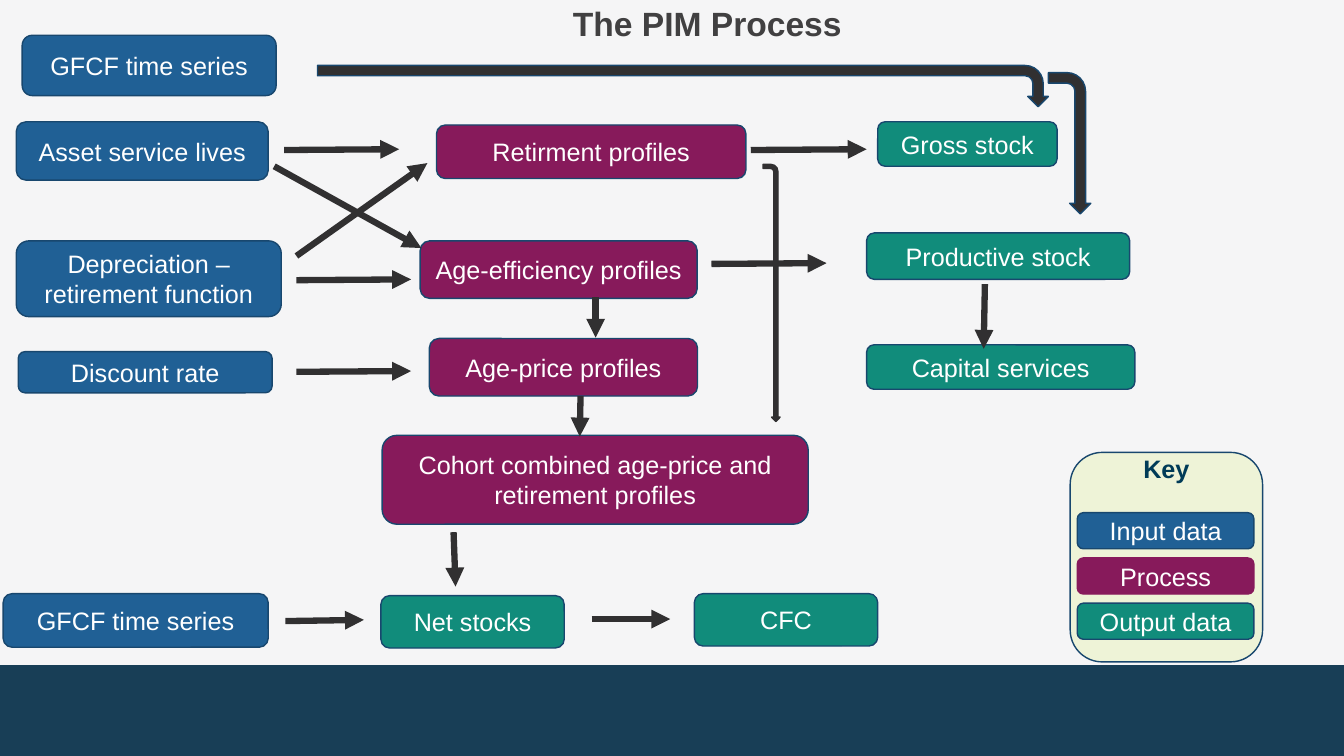
from pptx import Presentation
from pptx.dml.color import RGBColor
from pptx.enum import shapes, text
from pptx.oxml.ns import qn
from pptx.util import Cm, Pt
from lxml import etree

W, H = 33.87, 19.05
BLUE, PLUM, TEAL = "206095", "871A5B", "118C7B"
EDGE, DARK, WHITE = "18476E", "313031", "FFFFFF"
SHAPE = shapes.MSO_SHAPE


def rgb(value):
    return RGBColor.from_string(value)


def add_shape(s, kind, box, fill, edge=None):
    sp = s.shapes.add_shape(kind, *(Cm(v) for v in box))
    sp.shadow.inherit = False
    sp.fill.solid()
    sp.fill.fore_color.rgb = rgb(fill)
    if edge:
        sp.line.color.rgb = rgb(edge)
        sp.line.width = Pt(1)
    else:
        sp.line.fill.background()
    return sp


def write(sp, words, colour, size=18, bold=False):
    tf = sp.text_frame
    tf.word_wrap = True
    tf.vertical_anchor = text.MSO_ANCHOR.MIDDLE
    p = tf.paragraphs[0]
    p.text = words
    p.alignment = text.PP_ALIGN.CENTER
    p.font.name = "Arial"
    p.font.size = Pt(size)
    p.font.bold = bold
    p.font.color.rgb = rgb(colour)
    return tf


def add_node(s, box, words, fill, edge=EDGE):
    write(add_shape(s, SHAPE.ROUNDED_RECTANGLE, box, fill, edge), words, WHITE)


def add_arrow(s, x1, y1, x2, y2):
    cn = s.shapes.add_connector(shapes.MSO_CONNECTOR.STRAIGHT,
                                Cm(x1), Cm(y1), Cm(x2), Cm(y2))
    cn.line.color.rgb = rgb(DARK)
    cn.line.width = Pt(4.5)
    etree.SubElement(cn.line._get_or_add_ln(), qn("a:tailEnd"), type="triangle")
    etree.SubElement(cn._element.spPr, qn("a:effectLst"))


def add_bent_arrow(s, box, edge):
    # A quarter turn swaps width and height about the centre
    x, y, w, h = box
    turned = (x + (w - h) / 2, y + (h - w) / 2, h, w)
    add_shape(s, SHAPE.BENT_ARROW, turned, DARK, edge).rotation = 90


def build_title(s, box):
    sp = s.shapes.title
    sp.left, sp.top, sp.width, sp.height = (Cm(v) for v in box)
    write(sp, "The PIM Process", "414041", 24, True)


def build_stage(s, box, fill, nodes):
    left, top = box[:2]
    for x, y, w, h, words in nodes:
        add_node(s, (left + x, top + y, w, h), words, fill)


def build_arrows(s, box):
    left, top = box[:2]
    straight = [
        # Across
        (7.16, 3.78, 10.06, 3.76), (7.47, 7.06, 10.36, 7.04),
        (7.47, 9.37, 10.36, 9.35), (7.19, 15.65, 9.17, 15.62),
        (14.91, 15.6, 16.89, 15.6), (17.93, 6.65, 20.83, 6.63),
        (18.92, 3.78, 21.84, 3.76),
        # Down
        (24.82, 7.16, 24.79, 8.79), (15.01, 7.49, 15.01, 8.51),
        (14.63, 9.98, 14.61, 11), (11.43, 13.41, 11.48, 14.78),
        # Crossing
        (7.47, 6.45, 10.77, 4.11), (6.91, 4.19, 10.62, 6.25),
    ]
    for x1, y1, x2, y2 in straight:
        add_arrow(s, left + x1, top + y1, left + x2, top + y2)
    bent = [(8, 1.65, 18.42, 1.04, EDGE), (26.42, 1.83, 1.07, 3.56, EDGE),
            (19.23, 4.14, 0.43, 6.48, DARK)]
    for x, y, w, h, edge in bent:
        add_bent_arrow(s, (left + x, top + y, w, h), edge)


def build_key(s, box):
    left, top, w, h = box
    sp = add_shape(s, SHAPE.ROUNDED_RECTANGLE, box, "EEF3D7", EDGE)
    tf = write(sp, "Key", "003B57", bold=True)
    tf.vertical_anchor = text.MSO_ANCHOR.TOP
    tf.margin_top = Cm(-0.2)
    entries = [("Input data", BLUE, EDGE), ("Process", PLUM, PLUM),
               ("Output data", TEAL, EDGE)]
    for i, (words, fill, edge) in enumerate(entries):
        add_node(s, (left + 0.18, top + 1.52 + 1.14 * i, w - 0.4, 0.91),
                 words, fill, edge)


def main():
    prs = Presentation()
    prs.slide_width, prs.slide_height = Cm(W), Cm(H)
    s = prs.slides.add_slide(prs.slide_layouts[5])
    s.background.fill.solid()
    s.background.fill.fore_color.rgb = rgb("F5F5F6")

    # Footer band and title
    add_shape(s, SHAPE.RECTANGLE, (0, 16.76, W, H - 16.76), "183E56")
    build_title(s, (9.8, 0, 16.05, 1.17))

    # Inputs, processes and outputs
    build_stage(s, (0, 0.89, 7.1, 15.42), BLUE, [
        (0.56, 0, 6.4, 1.52, "GFCF time series"),
        (0.41, 2.18, 6.35, 1.47, "Asset service lives"),
        (0.41, 5.18, 6.68, 1.91, "Depreciation – retirement function"),
        (0.46, 7.97, 6.4, 1.04, "Discount rate"),
        (0.08, 14.07, 6.68, 1.35, "GFCF time series")])
    build_stage(s, (9.63, 3.15, 10.74, 10.06), PLUM, [
        (1.37, 0, 7.8, 1.35, "Retirment profiles"),
        (0.96, 2.92, 6.98, 1.45, "Age-efficiency profiles"),
        (1.19, 5.38, 6.76, 1.45, "Age-price profiles"),
        (0, 7.82, 10.74, 2.24,
         "Cohort combined age-price and retirement profiles")])
    build_stage(s, (9.6, 3.07, 19, 13.26), TEAL, [
        (0, 11.94, 4.62, 1.32, "Net stocks"),
        (7.9, 11.89, 4.62, 1.32, "CFC"),
        (12.24, 5.62, 6.76, 1.12, "Capital services"),
        (12.24, 2.8, 6.63, 1.17, "Productive stock"),
        (12.52, 0, 4.52, 1.12, "Gross stock")])

    # Flow arrows and key
    build_arrows(s, (0, 0, W, 16.76))
    build_key(s, (26.97, 11.4, 4.85, 5.28))
    prs.save("out.pptx")


if __name__ == "__main__":
    main()
